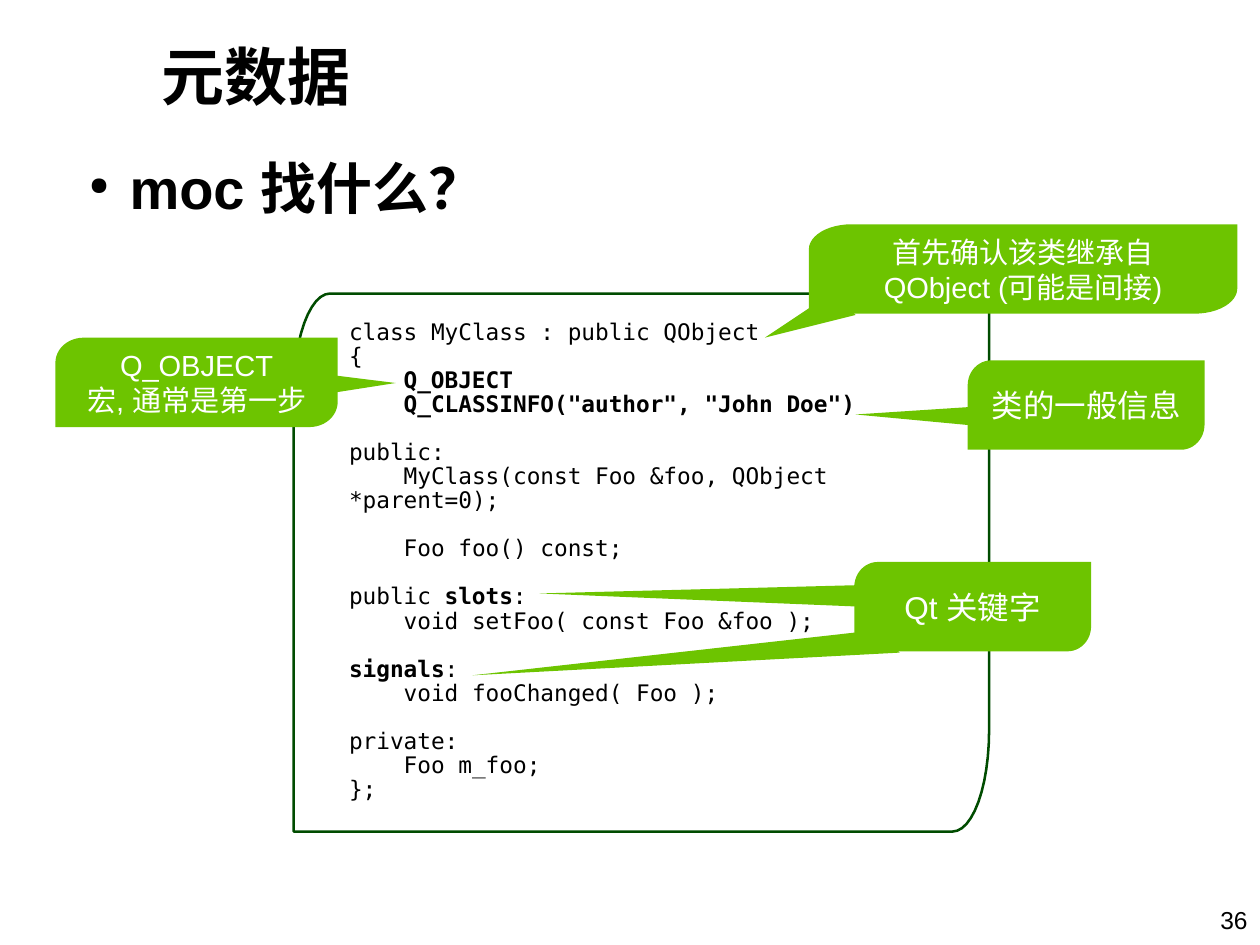
from math import cos, pi, sin

from lxml import etree
from pptx import Presentation
from pptx.dml.color import RGBColor
from pptx.enum.text import MSO_ANCHOR, PP_ALIGN
from pptx.oxml.ns import qn
from pptx.util import Inches, Pt

BLACK = RGBColor(0x00, 0x00, 0x00)
WHITE = RGBColor(0xFF, 0xFF, 0xFF)
GREEN = RGBColor(0x6D, 0xC4, 0x00)
DARK_GREEN = RGBColor(0x00, 0x4C, 0x00)

CODE = """class MyClass : public QObject
{
    **Q_OBJECT**
**    Q_CLASSINFO("author", "John Doe")**

public:
    MyClass(const Foo &foo, QObject *parent=0);

    Foo foo() const;

public **slots**:
    void setFoo( const Foo &foo );

**signals**:
    void fooChanged( Foo );

private:
    Foo m_foo;
};"""

# Left, top, width, height, label, text size, pointer triangles
CALLOUTS = [
    (6.78, 4.46, 1.88, 0.71, "Qt 关键字", 18,
     [[(6.97, 5), (3.75, 5.36), (7.14, 5.18)], [(6.96, 4.64), (4.28, 4.71), (6.96, 4.82)]]),
    (7.68, 2.86, 1.88, 0.71, "类的一般信息", 18,
     [[(7.86, 3.22), (6.79, 3.29), (7.86, 3.39)]]),
    (0.44, 2.68, 2.24, 0.71, "Q_OBJECT\n宏, 通常是第一步", 16.6,
     [[(2.5, 2.96), (3.14, 3.04), (2.5, 3.14)]]),
    (6.42, 1.78, 3.4, 0.71, "首先确认该类继承自\nQObject (可能是间接)", 16.6,
     [[(6.61, 2.32), (6.07, 2.68), (6.79, 2.5)]]),
]

presentation = Presentation()
presentation.slide_width = Inches(10)
presentation.slide_height = Inches(7.5)
slide = presentation.slides.add_slide(presentation.slide_layouts[6])


def write_text(text, box=None, shape=None, size=18, font="Arial", color=BLACK, bold=False,
               align=PP_ALIGN.LEFT, anchor=MSO_ANCHOR.TOP, line_spacing=None,
               margin=0.1, bullet=None):
    """Write lines into a shape or a new text box; ** switches bold on and off."""
    if shape is None:
        shape = slide.shapes.add_textbox(*(Inches(length) for length in box))
    frame = shape.text_frame
    frame.word_wrap = True
    frame.vertical_anchor = anchor
    frame.margin_left = frame.margin_right = Inches(margin)
    frame.margin_top = frame.margin_bottom = Inches(0.05)
    for number, line in enumerate(text.split("\n")):
        paragraph = frame.paragraphs[0] if number == 0 else frame.add_paragraph()
        if bullet:
            properties = paragraph._p.get_or_add_pPr()
            properties.set("marL", str(Inches(0.43)))
            properties.set("indent", str(Inches(-0.32)))
            etree.SubElement(properties, qn("a:buSzPct")).set("val", "45000")
            etree.SubElement(properties, qn("a:buChar")).set("char", bullet)
        paragraph.alignment = align
        paragraph.line_spacing = line_spacing
        paragraph.font.size = Pt(size)
        paragraph.font.name = font
        for position, part in enumerate(line.split("**")):
            if part:
                run = paragraph.add_run()
                run.text = part
                run.font.size = Pt(size)
                run.font.name = font
                run.font.bold = bold or position % 2 == 1
                run.font.color.rgb = color


def add_outline(points, fill=None, line=None):
    start, *others = [(Inches(x), Inches(y)) for x, y in points]
    builder = slide.shapes.build_freeform(*start)
    builder.add_line_segments(others, close=True)
    shape = builder.convert_to_shape()
    shape.shadow.inherit = False
    if fill is None:
        shape.fill.background()
    else:
        shape.fill.solid()
        shape.fill.fore_color.rgb = fill
    if line is None:
        shape.line.fill.background()
    else:
        shape.line.color.rgb = line
        shape.line.width = Pt(1.45)
    return shape


# Leaf outlines: elliptical top-left and bottom-right corners, square others
panel = (2.33, 2.33, 5.52, 4.27, 0.29, 0.8)
leaves = [panel] + [(*callout[:4], callout[2] * 0.1, callout[3] * 0.28) for callout in CALLOUTS]
angles = [step * pi / 24 for step in range(13)]
outlines = []
for left, top, width, height, radius_x, radius_y in leaves:
    right, bottom = left + width, top + height
    top_left = [(left + radius_x * (1 - cos(a)), top + radius_y * (1 - sin(a))) for a in angles]
    bottom_right = [(right - radius_x * (1 - cos(a)), bottom - radius_y * (1 - sin(a)))
                    for a in angles]
    outlines.append(top_left + [(right, top)] + bottom_right + [(left, bottom)])

add_outline(outlines[0], line=DARK_GREEN)
write_text("元数据", box=(1.18, 0, 6.5, 1.2), size=36, bold=True, anchor=MSO_ANCHOR.MIDDLE)
write_text("moc 找什么？", box=(0.5, 1.17, 9, 0.8), size=32, bold=True, bullet="●")
write_text(CODE, box=(2.68, 2.5, 5.18, 4.02), size=13, font="DejaVu Sans Mono",
           line_spacing=0.88, margin=0.09)

for (*_, label, size, pointers), outline in zip(CALLOUTS, outlines[1:]):
    for pointer in pointers:
        add_outline(pointer, fill=GREEN)
    write_text(label, shape=add_outline(outline, fill=GREEN), size=size, color=WHITE,
               align=PP_ALIGN.CENTER, anchor=MSO_ANCHOR.MIDDLE)

write_text("36", box=(8.39, 7.13, 1.61, 0.37), size=14, align=PP_ALIGN.RIGHT)

presentation.save("out.pptx")
